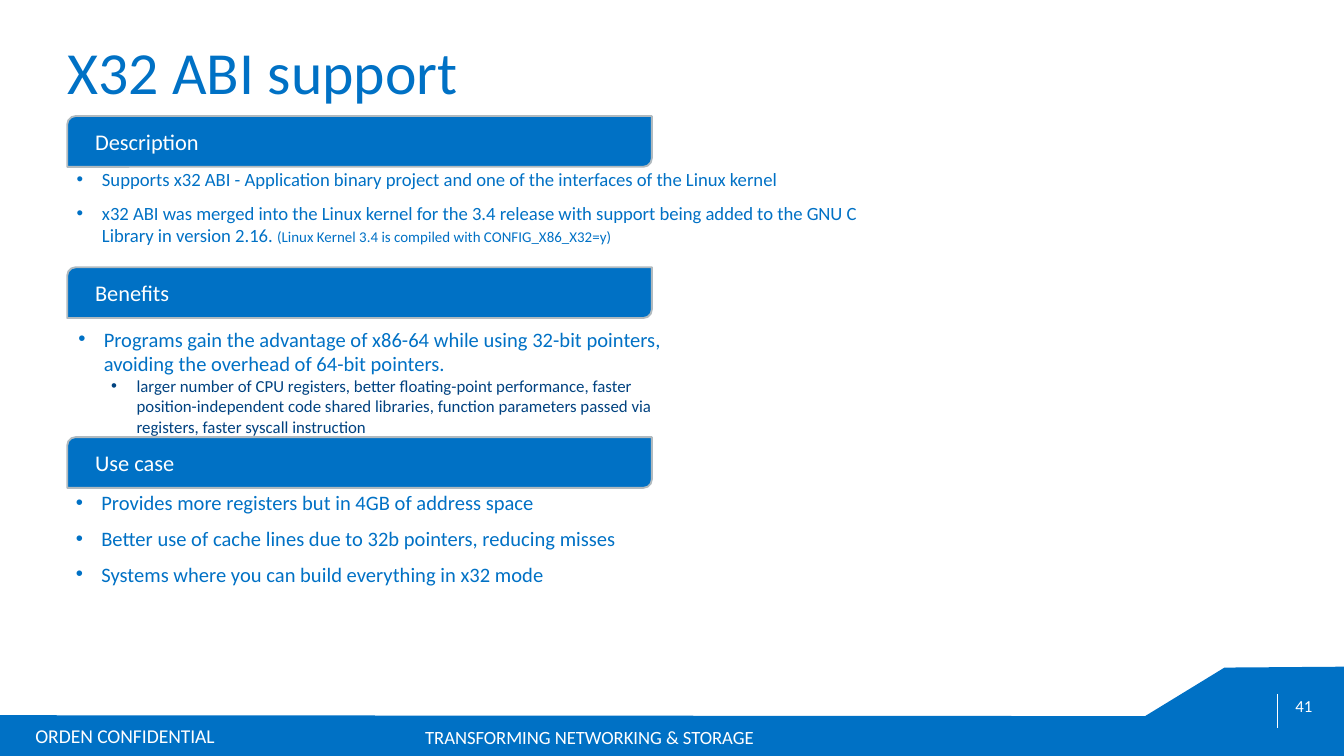
from lxml.etree import SubElement
from pptx import Presentation
from pptx.dml.color import RGBColor
from pptx.enum.shapes import MSO_CONNECTOR, MSO_SHAPE
from pptx.enum.text import MSO_ANCHOR, PP_ALIGN
from pptx.oxml.ns import qn
from pptx.util import Pt

COLORS = {"blue": "0071C5", "navy": "004280", "gray": "B1BABF", "white": "FFFFFF"}
LEFT_EDGE = 36
BULLET_HANG = 13.6
BULLET_INDENTS = (27.2, 44.8)


def color(name):
    return RGBColor.from_string(COLORS[name])


def style_font(font, size, color_name):
    font.name = "Calibri"
    font.size = Pt(size)
    font.color.rgb = color(color_name)


def indent(para, margin, first_line=0):
    properties = para._p.get_or_add_pPr()
    properties.set("marL", str(Pt(margin)))
    properties.set("indent", str(Pt(first_line)))
    return properties


def prepare_frame(shape, anchor=MSO_ANCHOR.TOP):
    frame = shape.text_frame
    frame.word_wrap = True
    frame.vertical_anchor = anchor
    frame.margin_left = frame.margin_right = 0
    frame.margin_top = frame.margin_bottom = 0
    return frame


def add_label(page, box, text, size, color_name, align=PP_ALIGN.LEFT):
    shape = page.shapes.add_textbox(*map(Pt, box))
    para = prepare_frame(shape, MSO_ANCHOR.MIDDLE).paragraphs[0]
    para.text = text
    para.alignment = align
    style_font(para.font, size, color_name)


def add_footer(page, box):
    left, top, width, height = box
    right, bottom = left + width, top + height
    outline = [
        (right - 64, top + 0.5),
        (right - 106.5, top + 26.5),
        (left, top + 26),
        (left, bottom),
        (right, bottom),
    ]
    builder = page.shapes.build_freeform(Pt(right), Pt(top))
    builder.add_line_segments([(Pt(x), Pt(y)) for x, y in outline])
    band = builder.convert_to_shape()
    band.shadow.inherit = False
    band.fill.solid()
    band.fill.fore_color.rgb = color("blue")
    band.line.fill.background()

    divider = page.shapes.add_connector(
        MSO_CONNECTOR.STRAIGHT,
        Pt(right - 36), Pt(top + 14.5), Pt(right - 36), Pt(top + 33),
    )
    divider.line.color.rgb = color("white")
    divider.line.width = Pt(0.25)
    SubElement(divider._element.spPr, qn("a:effectLst"))

    add_label(page, (left + 131, top + 28, 369.5, 19.5),
              "TRANSFORMING NETWORKING & STORAGE", 10, "white", PP_ALIGN.CENTER)
    add_label(page, (right - 36, top + 15.5, 29, 11), "41", 9, "white", PP_ALIGN.CENTER)
    add_label(page, (left + 19, top + 31, 152, 12), "ORDEN CONFIDENTIAL", 10.5, "white")


def add_heading(page, box, text):
    bar = page.shapes.add_shape(MSO_SHAPE.ROUND_2_DIAG_RECTANGLE, *map(Pt, box))
    bar.shadow.inherit = False
    bar.fill.solid()
    bar.fill.fore_color.rgb = color("blue")
    bar.line.color.rgb = color("gray")
    bar.line.width = Pt(1)
    para = prepare_frame(bar, MSO_ANCHOR.MIDDLE).paragraphs[0]
    para.text = text
    para.alignment = PP_ALIGN.LEFT
    indent(para, 13.6)
    style_font(para.font, 12, "white")


def add_bullets(page, box, items):
    frame = prepare_frame(page.shapes.add_textbox(*map(Pt, box)))
    for index, (level, size, color_name, text, note) in enumerate(items):
        para = frame.paragraphs[0] if index == 0 else frame.add_paragraph()
        if index and level == 0:
            para.space_before = Pt(6)
        properties = indent(para, BULLET_INDENTS[level], -BULLET_HANG)
        SubElement(properties, qn("a:buFont")).set("typeface", "Arial")
        SubElement(properties, qn("a:buChar")).set("char", "•")
        style_font(para.font, size, color_name)
        para.add_run().text = text
        if note:
            span = para.add_run()
            span.text = note
            span.font.size = Pt(8)


def add_section(page, top, title, body_box, items):
    add_heading(page, (LEFT_EDGE, top, 313.2, 27.2), title)
    add_bullets(page, body_box, items)


def build_page(page):
    add_footer(page, (0, 357.2, 720, 47.8))
    add_label(page, (LEFT_EDGE, 12.5, 648, 50.5), "X32 ABI support", 32, "blue")
    add_section(page, 62.2, "Description", (27.4, 90, 447, 53), [
        (0, 10, "blue", "Supports x32 ABI - Application binary project and one of the "
         "interfaces of the Linux kernel", ""),
        (0, 10, "blue", "x32 ABI was merged into the Linux kernel for the 3.4 release with "
         "support being added to the GNU C Library in version 2.16. ",
         "(Linux Kernel 3.4 is compiled with CONFIG_X86_X32=y)"),
    ])
    add_section(page, 143.2, "Benefits", (28.4, 175, 341.3, 53), [
        (0, 11, "blue", "Programs gain the advantage of x86-64 while using 32-bit pointers, "
         "avoiding the overhead of 64-bit pointers.", ""),
        (1, 9, "navy", "larger number of CPU registers, better floating-point performance, "
         "faster position-independent code shared libraries, function parameters passed via "
         "registers, faster syscall instruction", ""),
    ])
    use_cases = [
        "Provides more registers but in 4GB of address space",
        "Better use of cache lines due to 32b pointers, reducing misses",
        "Systems where you can build everything in x32 mode",
    ]
    add_section(page, 234.2, "Use case", (27.1, 262.4, 341.3, 107),
                [(0, 11, "blue", text, "") for text in use_cases])


def main():
    deck = Presentation()
    deck.slide_width = Pt(720)
    deck.slide_height = Pt(405)
    build_page(deck.slides.add_slide(deck.slide_layouts[6]))
    deck.save("out.pptx")


if __name__ == "__main__":
    main()
